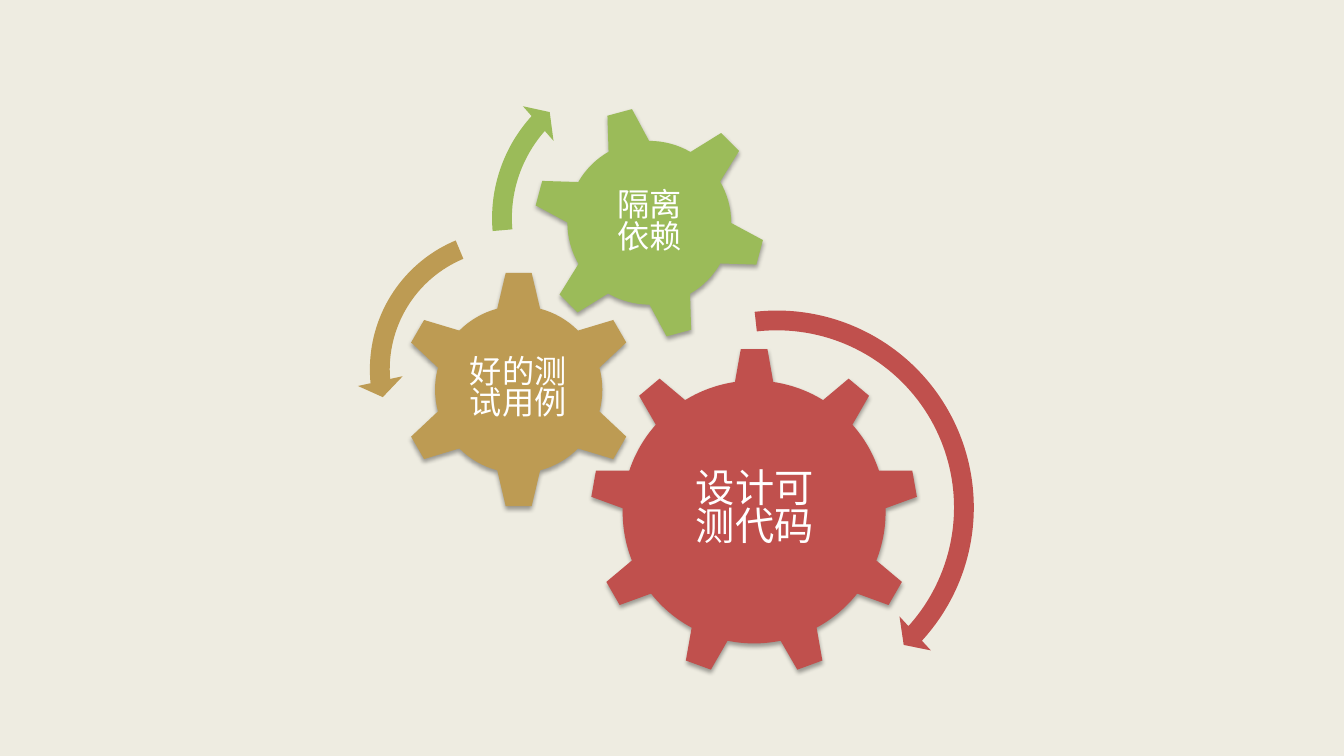
from lxml import etree
from pptx import Presentation
from pptx.dml.color import RGBColor
from pptx.enum import shapes, text
from pptx.oxml import parse_xml
from pptx.oxml.ns import nsdecls, qn
from pptx.util import Inches, Pt

KIND = shapes.MSO_SHAPE
FONT = "Noto Sans CJK SC"
BACKGROUND, WHITE = "EEECE1", "FFFFFF"
RED, GOLD, GREEN = "C0504D", "BD9B53", "9BBB59"

# kind, colour, left, top, size, rotation, label lines, label box, inset, points
GEARS = [
    (KIND.GEAR_9, RED, 5.85, 3.45, 3.26, 0,
     ["设计可", "测代码"], (6.51, 4.22, 1.95, 1.68), 0.04, 28),
    (KIND.GEAR_6, GOLD, 3.96, 2.68, 2.37, 0,
     ["好的测", "试用例"], (4.55, 3.28, 1.18, 1.17), 0.03, 23),
    (KIND.GEAR_6, GREEN, 5.28, 1.05, 2.32, 345,
     ["隔离", "依赖"], (5.79, 1.56, 1.3, 1.3), 0.03, 23),
]
# kind, colour, left, top, size, adjustments
ARROWS = [
    (KIND.CIRCULAR_ARROW, RED, 5.62, 2.95, 4.17, (0.047, 2.99, 25.39, 158.12, 0.055)),
    (KIND.LEFT_CIRCULAR_ARROW, GOLD, 3.54, 2.15, 3.03, (0.065, 4.3, 104.89, 148.38, 0.075)),
    (KIND.CIRCULAR_ARROW, GREEN, 4.75, 0.53, 3.27, (0.06, 3.94, 133.14, 105.08, 0.07)),
]


def paint(fill, colour):
    fill.solid()
    fill.fore_color.rgb = RGBColor.from_string(colour)


def add_part(kind, colour, left, top, size):
    """Add a square, unlined and unshadowed preset shape."""
    part = slide.shapes.add_shape(
        kind, Inches(left), Inches(top), Inches(size), Inches(size))
    paint(part.fill, colour)
    part.line.fill.background()
    part.shadow.inherit = False
    return part


def add_soft_shadow(gear):
    effects = gear._element.spPr.find(qn("a:effectLst"))
    effects.append(parse_xml(
        f'<a:outerShdw {nsdecls("a")} blurRad="{Pt(3.1)}" dist="{Pt(1.8)}" '
        'dir="5400000" rotWithShape="0"><a:srgbClr val="000000">'
        '<a:alpha val="35000"/></a:srgbClr></a:outerShdw>'))


def add_label(lines, box, inset, points):
    frame = slide.shapes.add_textbox(*map(Inches, box)).text_frame
    frame.word_wrap = True
    frame.vertical_anchor = text.MSO_ANCHOR.MIDDLE
    frame.margin_left = frame.margin_right = Inches(inset)
    frame.margin_top = frame.margin_bottom = Inches(inset)
    for number, line in enumerate(lines):
        paragraph = frame.add_paragraph() if number else frame.paragraphs[0]
        paragraph.alignment = text.PP_ALIGN.CENTER
        paragraph.line_spacing = 0.82
        run = paragraph.add_run()
        run.text = line
        run.font.size = Pt(points)
        run.font.name = FONT
        paint(run.font.fill, WHITE)
        etree.SubElement(run.font._element, qn("a:ea"), typeface=FONT)


deck = Presentation()
deck.slide_width, deck.slide_height = Inches(13.33), Inches(7.5)
slide = deck.slides.add_slide(deck.slide_layouts[6])
paint(slide.background.fill, BACKGROUND)

for kind, colour, left, top, size, rotation, lines, box, inset, points in GEARS:
    gear = add_part(kind, colour, left, top, size)
    gear.rotation = rotation
    add_soft_shadow(gear)
    add_label(lines, box, inset, points)

for kind, colour, left, top, size, adjustments in ARROWS:
    arrow = add_part(kind, colour, left, top, size)
    for number, value in enumerate(adjustments):
        arrow.adjustments[number] = value

deck.save("out.pptx")
